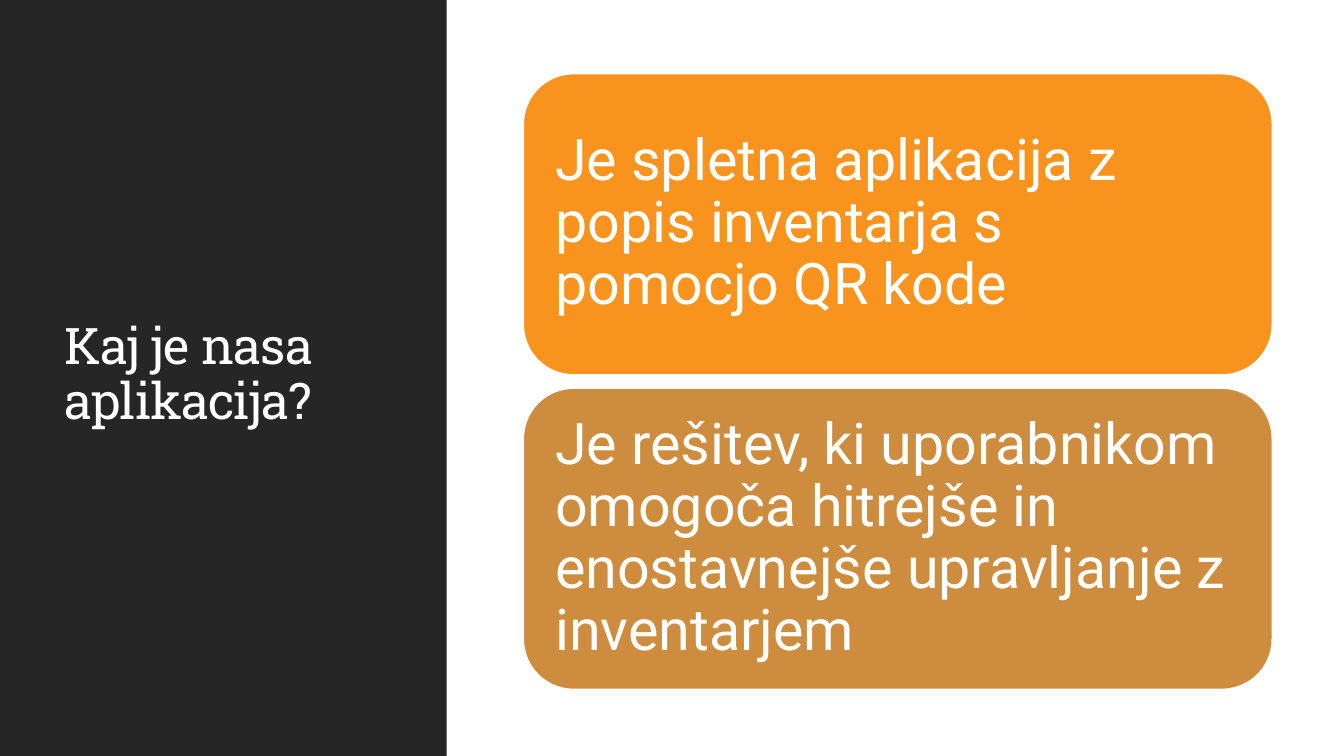
from pptx import Presentation
from pptx.dml.color import RGBColor
from pptx.enum.shapes import MSO_SHAPE as Shape
from pptx.enum.text import MSO_ANCHOR as Anchor, PP_ALIGN as Align
from pptx.util import Inches, Pt

WHITE = RGBColor(0xFF, 0xFF, 0xFF)
CHARCOAL = RGBColor(0x26, 0x26, 0x26)
ORANGE = RGBColor(0xF8, 0x93, 0x1D)
OCHRE = RGBColor(0xCE, 0x8D, 0x3E)

CARD_TOP = 0.73
CARD_STEP = 3.12
CARDS = [
    ("Je spletna aplikacija z popis inventarja s pomocjo QR kode", ORANGE),
    ("Je rešitev, ki uporabnikom omogoča hitrejše in enostavnejše "
     "upravljanje z inventarjem", OCHRE),
]


class SlideBuilder:
    """Holds the fonts and the current slide, and draws its elements."""

    heading_font = "Roboto Slab"
    body_font = "Roboto"

    def __init__(self, page):
        self.page = page

    def block(self, kind, left, top, width, height, fill):
        shape = self.page.shapes.add_shape(
            kind, Inches(left), Inches(top), Inches(width), Inches(height))
        shape.shadow.inherit = False
        shape.fill.solid()
        shape.fill.fore_color.rgb = fill
        shape.line.fill.background()
        return shape

    def set_text(self, frame, text, font, size):
        frame.word_wrap = True
        frame.vertical_anchor = Anchor.MIDDLE
        para = frame.paragraphs[0]
        para.alignment = Align.LEFT
        para.line_spacing = 0.9
        para.font.name = font
        para.font.size = Pt(size)
        para.font.color.rgb = WHITE
        span = para.add_run()
        span.text = text
        return span

    def title(self, text, left, top, width, height):
        box = self.page.shapes.add_textbox(
            Inches(left), Inches(top), Inches(width), Inches(height))
        span = self.set_text(box.text_frame, text, self.heading_font, 36)
        span._r.get_or_add_rPr().set("spc", "-50")

    def card(self, text, top, fill):
        card = self.block(Shape.ROUNDED_RECTANGLE, 5.19, top, 7.43, 2.99, fill)
        card.line.color.rgb = WHITE
        card.line.width = Pt(1.25)
        frame = card.text_frame
        frame.margin_left = frame.margin_right = Inches(0.17)
        frame.margin_top = frame.margin_bottom = Inches(0.17)
        self.set_text(frame, text, self.body_font, 41)


def main():
    deck = Presentation()
    deck.slide_width = Inches(13.33)
    deck.slide_height = Inches(7.5)
    builder = SlideBuilder(deck.slides.add_slide(deck.slide_layouts[6]))
    builder.block(Shape.RECTANGLE, 0, 0, 13.33, 7.5, WHITE)
    builder.block(Shape.RECTANGLE, 0, 0, 4.43, 7.5, CHARCOAL)
    builder.title("Kaj je nasa aplikacija?", 0.54, 0.57, 3.37, 6.31)
    for index, (text, fill) in enumerate(CARDS):
        builder.card(text, CARD_TOP + index * CARD_STEP, fill)
    deck.save("out.pptx")


if __name__ == "__main__":
    main()
